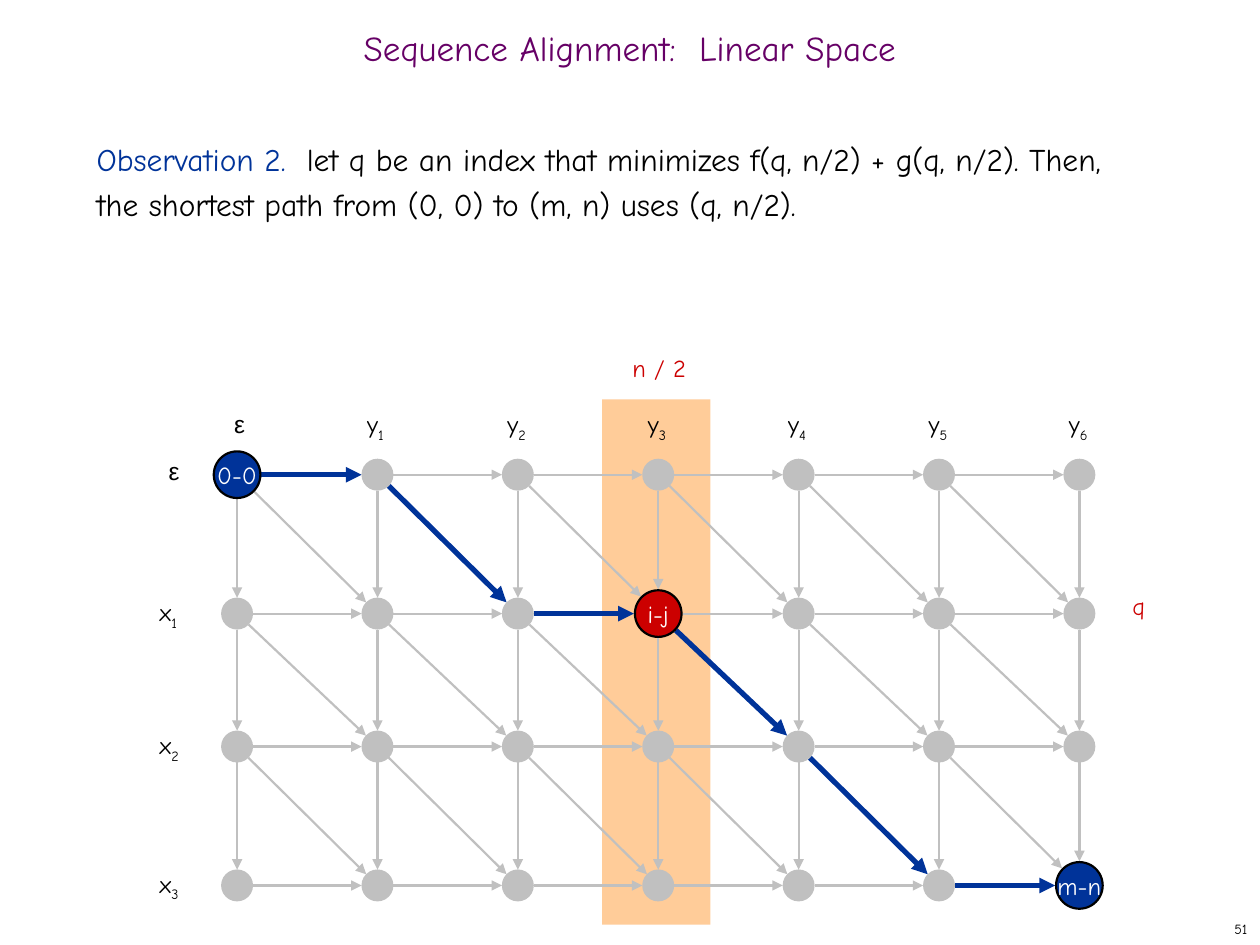
from dataclasses import dataclass
from itertools import product
from math import hypot

from lxml.etree import SubElement
from pptx import Presentation
from pptx.dml.color import RGBColor
from pptx.enum.shapes import MSO_CONNECTOR, MSO_SHAPE
from pptx.enum.text import MSO_ANCHOR, PP_ALIGN
from pptx.oxml.ns import qn
from pptx.util import Cm, Pt


@dataclass(frozen=True)
class Theme:
    font: str = "Comic Neue"
    greek_font: str = "Arial"
    black: str = "000000"
    white: str = "FFFFFF"
    purple: str = "660066"
    blue: str = "003399"
    red: str = "CC0000"
    gray: str = "C0C0C0"
    orange: str = "FFCC99"
    title_size: float = 20
    body_size: float = 18
    label_size: float = 14
    number_size: float = 8
    thin: float = 1.25
    thick: float = 3


THEME = Theme()


@dataclass(frozen=True)
class Span:
    text: str
    color: str = THEME.black
    subscript: bool = False


@dataclass(frozen=True)
class Label:
    left: float
    top: float
    width: float
    height: float
    spans: tuple[Span, ...]
    size: float = THEME.label_size
    font: str = THEME.font
    align: PP_ALIGN = PP_ALIGN.LEFT
    anchor: MSO_ANCHOR = MSO_ANCHOR.TOP
    line_spacing: object = None
    space_before: float = 0


@dataclass(frozen=True)
class Node:
    x: float
    y: float
    radius: float = 0.3
    fill: str = THEME.gray
    line: str = THEME.gray
    text: str = ""


def rgb(color: str) -> RGBColor:
    return RGBColor.from_string(color)


def draw_label(page, label: Label) -> None:
    box = page.shapes.add_textbox(
        Cm(label.left), Cm(label.top), Cm(label.width), Cm(label.height))
    frame = box.text_frame
    frame.word_wrap = True
    frame.vertical_anchor = label.anchor
    para = frame.paragraphs[0]
    para.alignment = label.align
    para.line_spacing = label.line_spacing
    para.space_before = Pt(label.space_before)
    para.font.name = label.font
    para.font.size = Pt(label.size)
    for part in label.spans:
        span = para.add_run()
        span.text = part.text
        span.font.color.rgb = rgb(part.color)
        if part.subscript:
            span.font._element.set("baseline", "-25000")


def draw_node(page, node: Node) -> None:
    circle = page.shapes.add_shape(
        MSO_SHAPE.OVAL, Cm(node.x - node.radius), Cm(node.y - node.radius),
        Cm(2 * node.radius), Cm(2 * node.radius))
    circle.shadow.inherit = False
    circle.fill.solid()
    circle.fill.fore_color.rgb = rgb(node.fill)
    circle.line.color.rgb = rgb(node.line)
    circle.line.width = Pt(THEME.thin)
    if node.text:
        frame = circle.text_frame
        frame.word_wrap = False
        frame.vertical_anchor = MSO_ANCHOR.MIDDLE
        para = frame.paragraphs[0]
        para.text = node.text
        para.alignment = PP_ALIGN.CENTER
        para.font.name = THEME.font
        para.font.size = Pt(THEME.label_size)
        para.font.color.rgb = rgb(THEME.white)


def draw_edge(page, start: Node, end: Node, on_path: bool) -> None:
    """Draw an arrow between the rims of two nodes."""
    gap = 0.02
    dx, dy = end.x - start.x, end.y - start.y
    length = hypot(dx, dy)
    first = (start.radius + gap) / length
    last = 1 - (end.radius + gap) / length
    arrow = page.shapes.add_connector(
        MSO_CONNECTOR.STRAIGHT,
        Cm(start.x + first * dx), Cm(start.y + first * dy),
        Cm(start.x + last * dx), Cm(start.y + last * dy))
    arrow.line.color.rgb = rgb(THEME.blue if on_path else THEME.gray)
    arrow.line.width = Pt(THEME.thick if on_path else THEME.thin)
    SubElement(arrow.line._get_or_add_ln(), qn("a:tailEnd"), type="triangle")
    SubElement(arrow._element.spPr, qn("a:effectLst"))


# Grid of the alignment graph, in centimetres
COLUMNS = [4.78 + 2.83 * column for column in range(7)]
ROWS = [9.57, 12.37, 15.05, 17.85]
STEPS = [(0, 1), (1, 0), (1, 1)]
SHORTEST_PATH = [(0, 0), (0, 1), (1, 2), (1, 3), (2, 4), (3, 5), (3, 6)]
MARKED = {
    (0, 0): ("0-0", THEME.blue),
    (1, 3): ("i-j", THEME.red),
    (3, 6): ("m-n", THEME.blue),
}


def make_node(row: int, column: int) -> Node:
    x, y = COLUMNS[column], ROWS[row]
    if (row, column) in MARKED:
        text, fill = MARKED[row, column]
        return Node(x, y, 0.47, fill, THEME.black, text)
    return Node(x, y)


def draw_graph(page) -> None:
    nodes = {(row, column): make_node(row, column)
             for row, column in product(range(len(ROWS)), range(len(COLUMNS)))}
    path_edges = set(zip(SHORTEST_PATH, SHORTEST_PATH[1:]))
    for (row, column), (down, right) in product(nodes, STEPS):
        start, end = (row, column), (row + down, column + right)
        if end in nodes:
            draw_edge(page, nodes[start], nodes[end], (start, end) in path_edges)
    for node in nodes.values():
        draw_node(page, node)


def axis_label(left: float, top: float, letter: str, index: int) -> Label:
    spans = (Span(letter), Span(str(index), subscript=True))
    return Label(left, top, 1.14, 0.94, spans, space_before=8.8)


def main() -> None:
    deck = Presentation()
    deck.slide_width, deck.slide_height = Cm(25.4), Cm(19.05)
    page = deck.slides.add_slide(deck.slide_layouts[6])

    # Middle column highlight
    band = page.shapes.add_shape(
        MSO_SHAPE.RECTANGLE, Cm(12.14), Cm(8.05), Cm(2.18), Cm(10.59))
    band.shadow.inherit = False
    band.fill.solid()
    band.fill.fore_color.rgb = rgb(THEME.orange)
    band.line.fill.background()

    draw_graph(page)

    # Title, observation and slide number
    labels = [
        Label(0, 0.43, 25.4, 1.27,
              (Span("Sequence Alignment:  Linear Space", THEME.purple),),
              THEME.title_size, align=PP_ALIGN.CENTER,
              anchor=MSO_ANCHOR.MIDDLE, line_spacing=0.7),
        Label(1.7, 2.54, 21.79, 2.5,
              (Span("Observation 2.  ", THEME.blue),
               Span("let q be an index that minimizes f(q, n/2) + g(q, n/2). "
                    "Then, the shortest path from (0, 0) to (m, n) uses (q, n/2).")),
              THEME.body_size, line_spacing=Pt(26)),
        Label(20.12, 18.42, 5.28, 0.63, (Span("51"),), THEME.number_size,
              align=PP_ALIGN.RIGHT, anchor=MSO_ANCHOR.MIDDLE),
    ]

    # Row and column labels
    labels += [axis_label(x - 0.46, 8.13, "y", index)
               for index, x in enumerate(COLUMNS[1:], 1)]
    labels += [axis_label(2.97, y - 0.45, "x", index)
               for index, y in enumerate(ROWS[1:], 1)]
    labels += [Label(left, top, 1.14, 0.84, (Span("ε"),),
                     font=THEME.greek_font, space_before=8.8)
               for left, top in [(4.47, 8.13), (3.15, 9.07)]]

    # Split point labels
    labels += [Label(left, top, width, 0.84, (Span(text, THEME.red),),
                     space_before=8.8)
               for left, top, width, text in [(12.5, 6.99, 2.34, "n / 2"),
                                              (22.58, 11.79, 1.02, "q")]]
    for label in labels:
        draw_label(page, label)

    deck.save("out.pptx")


if __name__ == "__main__":
    main()
